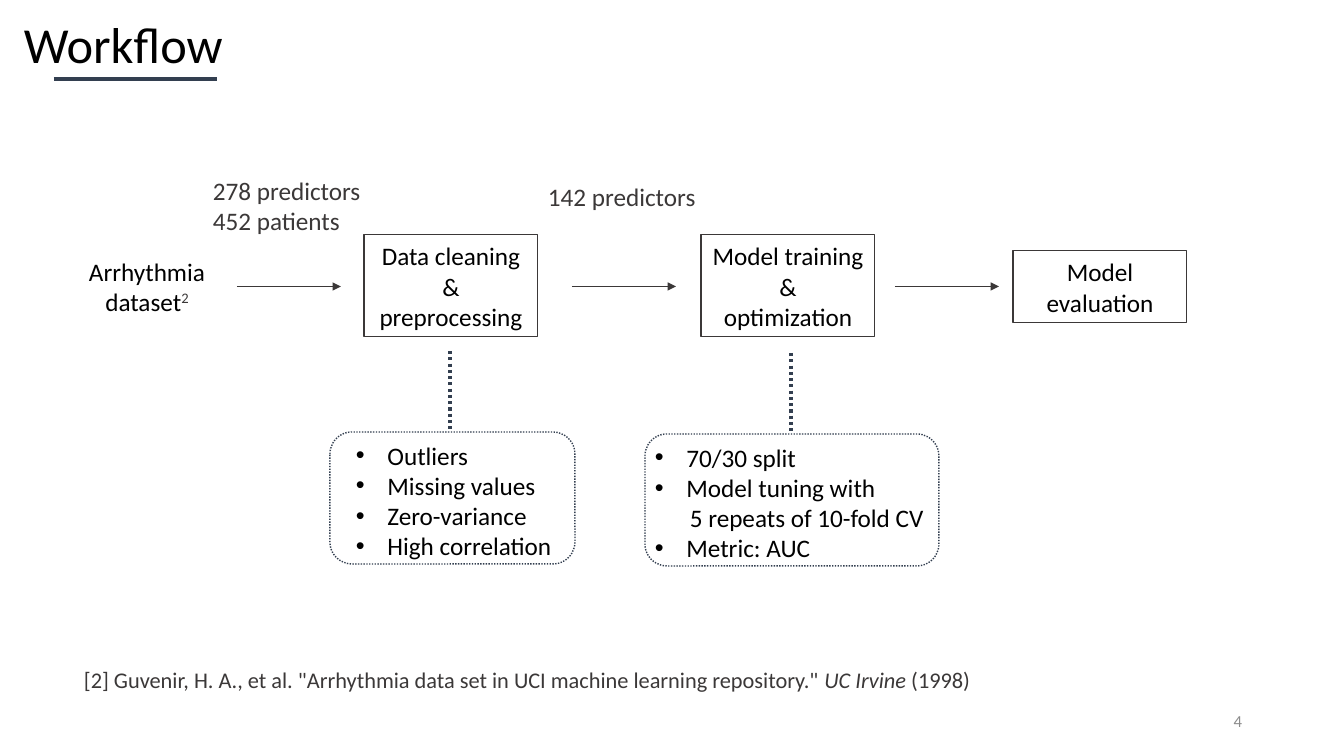
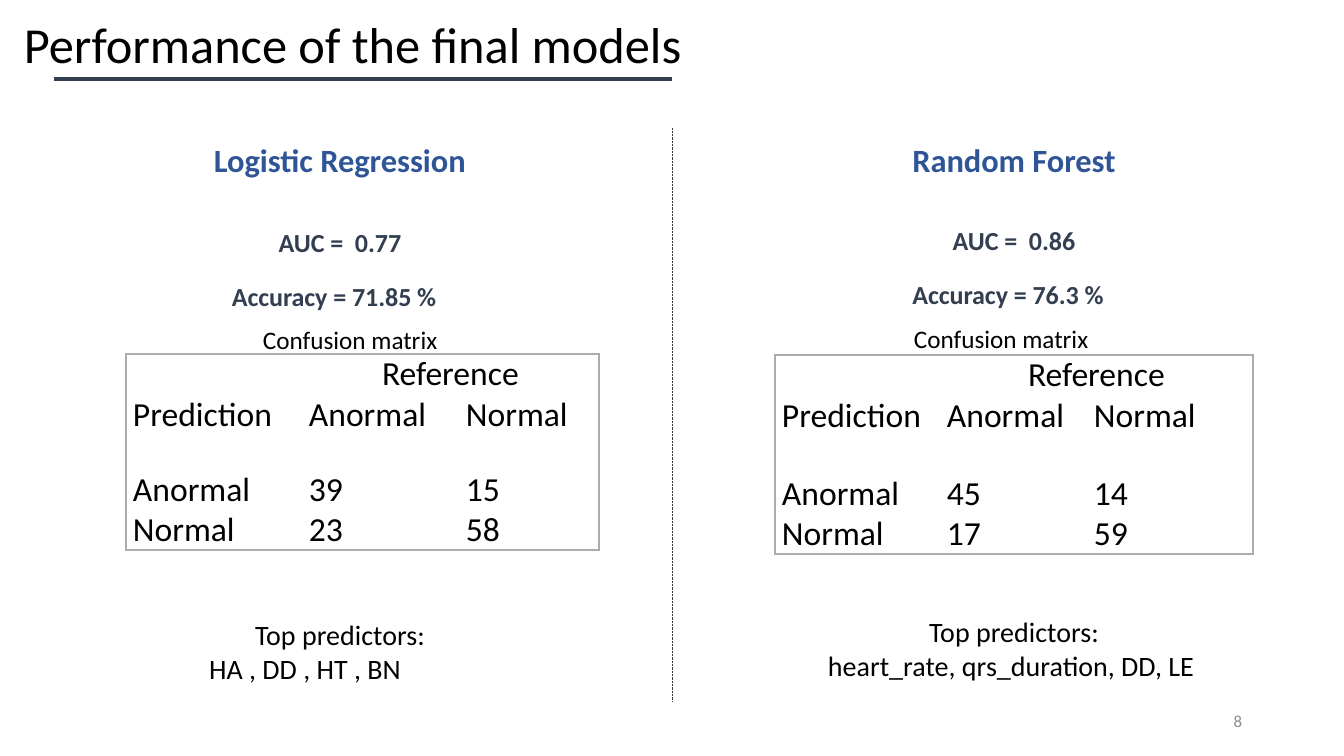
from dataclasses import dataclass

from lxml.etree import SubElement
from pptx import Presentation
from pptx.dml.color import RGBColor
from pptx.enum.dml import MSO_LINE
from pptx.enum.shapes import MSO_CONNECTOR, MSO_SHAPE
from pptx.enum.text import MSO_ANCHOR, PP_ALIGN
from pptx.oxml.ns import qn
from pptx.util import Pt

SCALE = 12192000 / 1344
FONT = "Calibri"
BLACK, GRAY, NAVY, BLUE = "000000", "3B3838", "333F50", "2F5597"
NUMBER_GRAY, BORDER_GRAY = "8C8C8C", "AFABAB"
NO_TABLE_STYLE = "{2D5ABB26-0587-4C30-8999-92F81FD0307C}"
CENTER, RIGHT = PP_ALIGN.CENTER, PP_ALIGN.RIGHT


@dataclass
class ModelPanel:
    """Results of one model and where they stand."""
    name: str
    center: int
    scores: list
    scores_top: int
    caption_at: tuple
    table_at: tuple
    columns: list
    rows: list
    counts: list
    predictors: str
    predictors_top: int
    predictors_margin: int


PANELS = [
    ModelPanel("Logistic Regression", 340, ["AUC =  0.77", "Accuracy = 71.85 %"], 216,
               (253, 319), (126, 354), [176, 157, 140], [40, 75, 40, 40],
               [["39", "15"], ["23", "58"]], "HA , DD , HT , BN", 613, 70),
    ModelPanel("Random Forest", 1014, ["AUC =  0.86", "Accuracy = 76.3 %"], 214,
               (904, 318), (775, 355), [165, 147, 166], [40, 78, 40, 40],
               [["45", "14"], ["17", "59"]], "heart_rate, qrs_duration, DD, LE", 610, 6),
]


def px(value):
    """Turn pixels into EMU."""
    return round(value * SCALE)


def color(value):
    """Turn a hex string into a colour."""
    return RGBColor.from_string(value)


def style_run(run, size, fill=BLACK, bold=False, italic=False, baseline=0):
    """Format one run; baseline is a percentage of the size."""
    font = run.font
    font.name, font.size, font.bold, font.italic = FONT, Pt(size), bold, italic
    font.color.rgb = color(fill)
    if baseline:
        run._r.get_or_add_rPr().set("baseline", str(baseline * 1000))


def write_lines(frame, lines, size, align=None, **style):
    """Fill a text frame with one paragraph per line."""
    frame.word_wrap = True
    frame.text = "\n".join(lines)
    for paragraph in frame.paragraphs:
        paragraph.alignment = align
        for run in paragraph.runs:
            style_run(run, size, **style)


def add_text(slide, box, lines, size, align=None, **style):
    """Add a text box and return its text frame."""
    frame = slide.shapes.add_textbox(*map(px, box)).text_frame
    write_lines(frame, lines, size, align, **style)
    return frame


def add_run(paragraph, text, size, **style):
    """Append a formatted run to a paragraph."""
    run = paragraph.add_run()
    run.text = text
    style_run(run, size, **style)


def set_margins(paragraph, **margins):
    """Set paragraph margins such as marL, marR or indent."""
    for name, value in margins.items():
        paragraph._p.get_or_add_pPr().set(name, str(px(value)))


def add_bullet(paragraph):
    """Give a paragraph a hanging bullet."""
    set_margins(paragraph, marL=31.5, indent=-31.5)
    properties = paragraph._p.get_or_add_pPr()
    SubElement(properties, qn("a:buFont")).set("typeface", "Arial")
    SubElement(properties, qn("a:buChar")).set("char", "•")


def add_line(slide, start, end, width, fill, dotted=False, arrow=False):
    """Add a straight line, optionally dotted or with an arrowhead."""
    connector = slide.shapes.add_connector(
        MSO_CONNECTOR.STRAIGHT, *map(px, (*start, *end)))
    line = connector.line
    line.width = Pt(width)
    line.color.rgb = color(fill)
    if dotted:
        line.dash_style = MSO_LINE.ROUND_DOT
    if arrow:
        SubElement(line._get_or_add_ln(), qn("a:tailEnd")).set("type", "triangle")
    SubElement(connector._element.spPr, qn("a:effectLst"))


def add_outline(slide, kind, box, width, fill):
    """Add an unfilled shape with an outline."""
    shape = slide.shapes.add_shape(kind, *map(px, box))
    shape.shadow.inherit = False
    shape.fill.background()
    shape.line.width = Pt(width)
    shape.line.color.rgb = color(fill)
    return shape


def add_step(slide, box, lines):
    """Add a workflow step."""
    step = add_outline(slide, MSO_SHAPE.RECTANGLE, box, 0.75, GRAY)
    write_lines(step.text_frame, lines, 18, CENTER)


def add_detail(slide, box, text_left, lines, stem_x, continued=()):
    """Add a dotted detail box, its stem and its bulleted lines."""
    left, top, width, height = box
    add_line(slide, (stem_x, top - 81), (stem_x, top), 2.25, NAVY, dotted=True)
    outline = add_outline(slide, MSO_SHAPE.ROUNDED_RECTANGLE, box, 1, NAVY)
    outline.line.dash_style = MSO_LINE.ROUND_DOT
    text_box = (text_left, top + 3, left + width + 40 - text_left, height)
    frame = add_text(slide, text_box, lines, 18)
    for index, paragraph in enumerate(frame.paragraphs):
        if index in continued:
            set_margins(paragraph, marL=35, indent=0)
        else:
            add_bullet(paragraph)


def set_borders(cell, sides):
    """Draw the named sides of a cell and clear the others."""
    properties = cell._tc.get_or_add_tcPr()
    for side in "LRTB":
        border = SubElement(properties, qn(f"a:ln{side}"))
        if side in sides:
            border.set("w", str(Pt(1)))
            solid = SubElement(border, qn("a:solidFill"))
            SubElement(solid, qn("a:srgbClr")).set("val", BORDER_GRAY)
        else:
            SubElement(border, qn("a:noFill"))


def add_confusion_matrix(slide, panel):
    """Add a framed confusion matrix."""
    values = [["", "Reference", ""], ["Prediction", "Anormal", "Normal"],
              ["Anormal", *panel.counts[0]], ["Normal", *panel.counts[1]]]
    size = (sum(panel.columns), sum(panel.rows))
    table = slide.shapes.add_table(4, 3, *map(px, (*panel.table_at, *size))).table
    table.first_row = table.horz_banding = False
    table._tbl.tblPr.find(qn("a:tableStyleId")).text = NO_TABLE_STYLE
    for column, width in zip(table.columns, panel.columns):
        column.width = px(width)
    for row, height in zip(table.rows, panel.rows):
        row.height = px(height)
    table.cell(0, 1).merge(table.cell(0, 2))
    for row, texts in enumerate(values):
        for column, text in enumerate(texts):
            cell = table.cell(row, column)
            cell.margin_left = cell.margin_right = px(7)
            cell.margin_top = cell.margin_bottom = 0
            edges = {"L": column == 0, "R": column + cell.span_width >= 3,
                     "T": row == 0, "B": row == 3}
            set_borders(cell, [side for side, drawn in edges.items() if drawn])
            cell.fill.background()
            if text:
                write_lines(cell.text_frame, [text], 24, CENTER if row == 0 else None)


def add_panel(slide, panel):
    """Add the heading, scores, matrix and predictors of one model."""
    left, width = panel.center - 230, 460
    add_text(slide, (left, 128, width, 86), [panel.name], 40, CENTER,
             fill=BLUE, bold=True, baseline=30)
    scores = add_text(slide, (left, panel.scores_top, width, 113), panel.scores, 32,
                      CENTER, fill=NAVY, bold=True, baseline=30)
    set_margins(scores.paragraphs[1], marR=12)
    add_confusion_matrix(slide, panel)
    add_text(slide, (*panel.caption_at, 221, 40), ["Confusion matrix"], 18)
    predictors = add_text(slide, (left, panel.predictors_top, width, 78),
                          ["Top predictors:", panel.predictors], 20, CENTER)
    set_margins(predictors.paragraphs[1], marR=panel.predictors_margin)


def add_titled_slide(presentation, title, rule_end, number):
    """Add a blank slide with title, rule and slide number."""
    slide = presentation.slides.add_slide(presentation.slide_layouts[6])
    frame = add_text(slide, (950, 701, 302, 40), [number], 12, RIGHT, fill=NUMBER_GRAY)
    frame.vertical_anchor = MSO_ANCHOR.MIDDLE
    add_text(slide, (14, 8, 732, 72), [title], 36)
    add_line(slide, (54, 79), (rule_end, 79), 2.25, NAVY)
    return slide


def build_workflow(presentation):
    """Build the workflow slide."""
    slide = add_titled_slide(presentation, "Workflow", 217, "4")
    citation = add_text(
        slide, (74, 661, 1196, 37),
        ['[2] Guvenir, H. A., et al. "Arrhythmia data set in UCI machine learning '
         'repository."\u00a0'], 16, fill=GRAY).paragraphs[0]
    add_run(citation, "UC Irvine", 16, fill=GRAY, italic=True)
    add_run(citation, "\u00a0(1998)", 16, fill=GRAY)

    dataset = add_text(slide, (74, 251, 146, 72), ["Arrhythmia dataset"], 18, CENTER)
    add_run(dataset.paragraphs[0], "2", 18, fill=GRAY, baseline=30)
    add_step(slide, (364, 235, 174, 102), ["Data cleaning", "& preprocessing"])
    add_step(slide, (701, 235, 174, 102), ["Model training", "&", "optimization"])
    add_step(slide, (1013, 251, 174, 72), ["Model", "evaluation"])
    for left in (237, 572, 895):
        add_line(slide, (left, 286.5), (left + 104, 286.5), 0.5, GRAY, arrow=True)
    add_text(slide, (203, 170, 184, 72), ["278 predictors", "452 patients"], 18, fill=GRAY)
    add_text(slide, (538, 176, 184, 40), ["142 predictors"], 18, fill=GRAY)

    add_detail(slide, (330, 432, 245, 132), 346,
               ["Outliers", "Missing values", "Zero-variance", "High correlation"], 450)
    add_detail(slide, (645, 434, 294, 132), 645,
               ["70/30 split", "Model tuning with", "5 repeats of 10-fold CV",
                "Metric: AUC"], 791, continued=(2,))


def build_performance(presentation):
    """Build the slide that compares the final models."""
    slide = add_titled_slide(presentation, "Performance of the final models", 672, "8")
    add_line(slide, (672, 128), (672, 701), 0.5, GRAY, dotted=True)
    for panel in PANELS:
        add_panel(slide, panel)


def main():
    """Build and save the presentation."""
    presentation = Presentation()
    presentation.slide_width, presentation.slide_height = px(1344), px(756)
    build_workflow(presentation)
    build_performance(presentation)
    presentation.save("out.pptx")


main()
